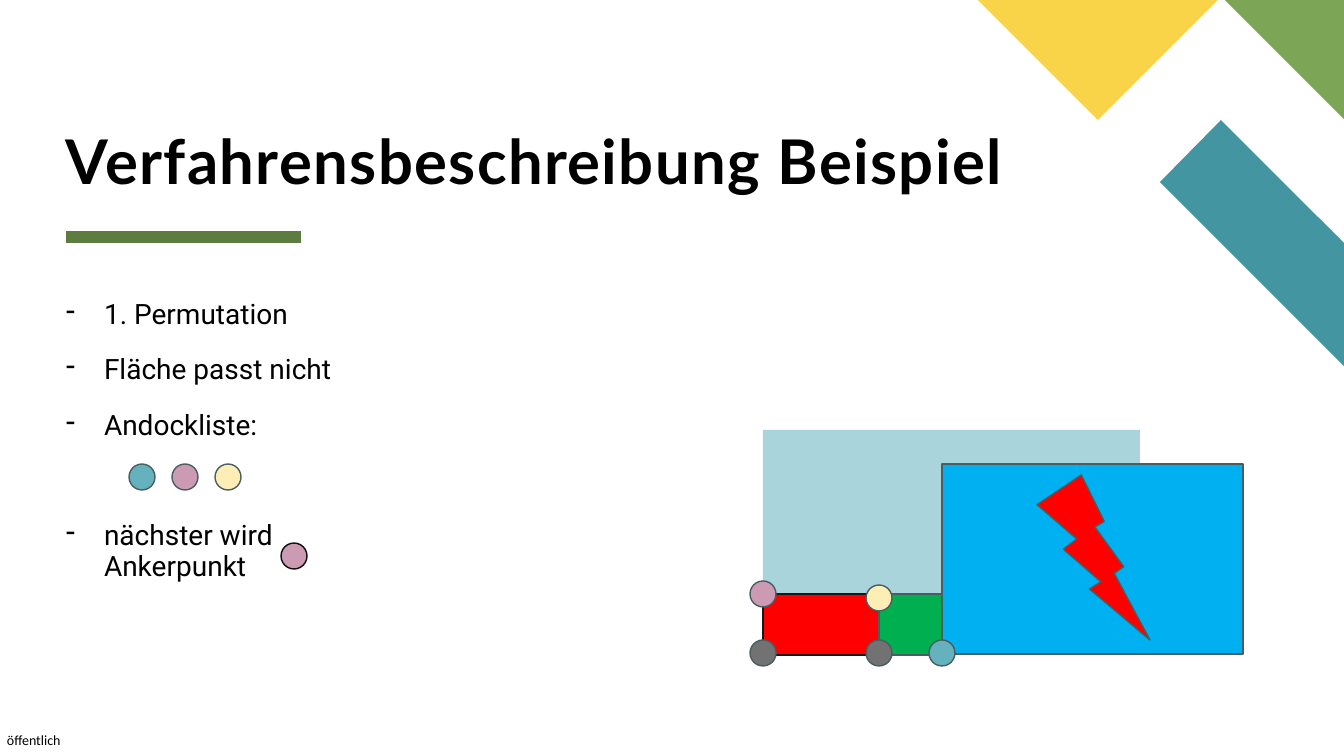
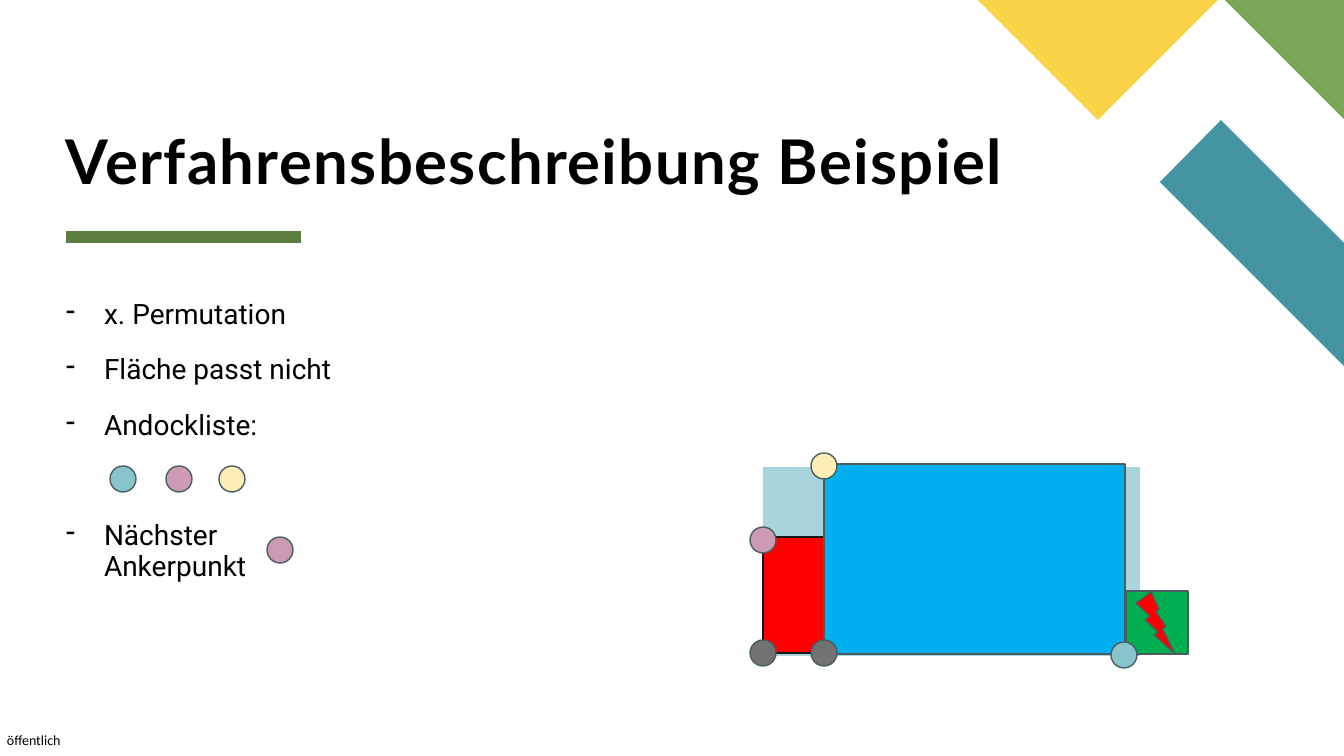
from lxml.etree import SubElement
from pptx import Presentation
from pptx.dml.color import RGBColor
from pptx.enum.shapes import MSO_CONNECTOR, MSO_SHAPE
from pptx.enum.text import MSO_ANCHOR
from pptx.oxml.ns import qn
from pptx.util import Pt

PX = 914400 / 100.8
WIDTH, HEIGHT = 1344, 756

BLACK = RGBColor(0x00, 0x00, 0x00)
NEAR_BLACK = RGBColor(0x0D, 0x0D, 0x0D)
CHARCOAL = RGBColor(0x17, 0x17, 0x17)
OUTLINE = RGBColor(0x4A, 0x5D, 0x60)
GRAY = RGBColor(0x72, 0x72, 0x72)
PINK = RGBColor(0xCC, 0x9B, 0xB3)
CREAM = RGBColor(0xFD, 0xEE, 0xB5)
TEAL = RGBColor(0x65, 0xB2, 0xBE)
LIGHT_TEAL = RGBColor(0x89, 0xC4, 0xCD)
PALE_TEAL = RGBColor(0xA9, 0xD4, 0xDB)
RED = RGBColor(0xFF, 0x00, 0x00)
GREEN = RGBColor(0x00, 0xB0, 0x50)
BLUE = RGBColor(0x00, 0xB0, 0xF0)
RULE_GREEN = RGBColor(0x5D, 0x7D, 0x40)

CORNER_SHAPES = [
    (RGBColor(0x44, 0x95, 0xA2), [(1344, 366), (1344, 243), (1221, 120), (1160, 182)]),
    (RGBColor(0x7C, 0xA6, 0x55), [(1344, 119), (1344, 0), (1225, 0)]),
    (RGBColor(0xF9, 0xD4, 0x48), [(978, 0), (1098, 120), (1218, 0)]),
]
TITLE = "Verfahrensbeschreibung Beispiel"
CIRCLE_SIZE = 26
BULLET_INDENT = 38
BULLET_SPACE = 18
CIRCLE_ROW_SPACE = 57.6


def emu(*lengths):
    return [round(length * PX) for length in lengths]


def write(paragraph, text, font="Roboto", size=20, bold=False, line_spacing=None,
          space_before=0, letter_spacing=None, bullet=None):
    run = paragraph.add_run()
    run.text = text
    run.font.name = font
    run.font.size = Pt(size)
    run.font.bold = bold
    run.font.color.rgb = BLACK
    if letter_spacing:
        run._r.get_or_add_rPr().set("spc", str(letter_spacing * 100))
    if line_spacing:
        paragraph.line_spacing = line_spacing
    paragraph.space_before = Pt(space_before)
    if bullet:
        properties = paragraph._p.get_or_add_pPr()
        indent, = emu(BULLET_INDENT)
        properties.set("marL", str(indent))
        properties.set("indent", str(-indent))
        SubElement(properties, qn("a:buChar")).set("char", bullet)


class Deck:
    def __init__(self):
        self.presentation = Presentation()
        self.presentation.slide_width, self.presentation.slide_height = emu(WIDTH, HEIGHT)
        self.slide = None

    def add_slide(self):
        """Start a slide with the shared decoration, title and footer."""
        self.slide = self.presentation.slides.add_slide(self.presentation.slide_layouts[6])
        for color, points in CORNER_SHAPES:
            self.polygon(points, color)
        self.rule(66, 237, 301)
        footer = self.text_frame(7, 732, 57, 17, wrap=False)
        write(footer.paragraphs[0], "öffentlich", font="Calibri", size=10)
        title = self.text_frame(66, 22, 1210, 174, anchor=MSO_ANCHOR.BOTTOM)
        write(title.paragraphs[0], TITLE, font="Lato", size=44, bold=True,
              line_spacing=0.8, letter_spacing=1)

    def style(self, shape, fill, line=None):
        shape.shadow.inherit = False
        shape.fill.solid()
        shape.fill.fore_color.rgb = fill
        if line is None:
            shape.line.fill.background()
        else:
            shape.line.color.rgb = line
            shape.line.width = Pt(1)

    def polygon(self, points, fill):
        builder = self.slide.shapes.build_freeform(*points[0], scale=PX)
        builder.add_line_segments(points[1:], close=True)
        self.style(builder.convert_to_shape(), fill)

    def rule(self, left, top, right):
        line = self.slide.shapes.add_connector(
            MSO_CONNECTOR.STRAIGHT, *emu(left, top, right, top))
        line.line.color.rgb = RULE_GREEN
        line.line.width = Pt(8)
        SubElement(line._element.spPr, qn("a:effectLst"))

    def text_frame(self, left, top, width, height, margins=(0, 0, 0, 0),
                   anchor=MSO_ANCHOR.TOP, wrap=True):
        box = self.slide.shapes.add_textbox(*emu(left, top, width, height))
        frame = box.text_frame
        frame.word_wrap = wrap
        frame.vertical_anchor = anchor
        (frame.margin_left, frame.margin_top,
         frame.margin_right, frame.margin_bottom) = emu(*margins)
        return frame

    def bullets(self, first, last):
        """Write the list, leaving a row for circles before the last item."""
        frame = self.text_frame(66, 295, 278, 396, margins=(0, 5, 10, 5))
        items = [(first, 0), ("Fläche passt nicht", BULLET_SPACE),
                 ("Andockliste:", BULLET_SPACE), (last, CIRCLE_ROW_SPACE)]
        for index, (text, space) in enumerate(items):
            paragraph = frame.add_paragraph() if index else frame.paragraphs[0]
            write(paragraph, text, line_spacing=0.9, space_before=space, bullet="-")

    def shape(self, left, top, width, height, fill, line=OUTLINE, kind=MSO_SHAPE.RECTANGLE):
        shape = self.slide.shapes.add_shape(kind, *emu(left, top, width, height))
        self.style(shape, fill, line)

    def bolt(self, left, top, width, height):
        self.shape(left, top, width, height, RED, kind=MSO_SHAPE.LIGHTNING_BOLT)

    def circle(self, center_x, center_y, fill, line=OUTLINE):
        radius = CIRCLE_SIZE / 2
        self.shape(center_x - radius, center_y - radius, CIRCLE_SIZE, CIRCLE_SIZE,
                   fill, line, MSO_SHAPE.OVAL)

    def circles(self, *circles):
        for circle in circles:
            self.circle(*circle)


def first_permutation(deck):
    deck.add_slide()
    deck.bullets("1. Permutation", "nächster wird Ankerpunkt")
    deck.shape(763, 430, 377, 225, PALE_TEAL, line=None)
    deck.shape(763, 594, 116, 61, RED, CHARCOAL)
    deck.shape(879, 594, 63, 61, GREEN)
    deck.shape(942, 464, 301, 190, BLUE)
    deck.bolt(1037, 475, 113, 165)
    deck.circles(
        (763, 653, GRAY), (763, 594, PINK), (879, 598, CREAM), (879, 653, GRAY),
        (942, 653, TEAL), (142, 477, TEAL), (185, 477, PINK), (228, 477, CREAM),
        (294, 556, PINK, NEAR_BLACK))


def later_permutation(deck):
    deck.add_slide()
    deck.bullets("x. Permutation", "Nächster Ankerpunkt")
    deck.shape(763, 467, 377, 189, PALE_TEAL, line=None)
    deck.shape(763, 537, 61, 116, RED, CHARCOAL)
    deck.shape(824, 464, 301, 190, BLUE)
    deck.shape(1126, 591, 62, 63, GREEN)
    deck.bolt(1136, 592, 39, 62)
    deck.circles(
        (763, 653, GRAY), (763, 540, PINK), (824, 653, GRAY), (824, 466, CREAM),
        (1124, 655, LIGHT_TEAL), (123, 479, LIGHT_TEAL), (179, 479, PINK),
        (232, 479, CREAM), (280, 550, PINK))


def main():
    deck = Deck()
    first_permutation(deck)
    later_permutation(deck)
    deck.presentation.save("out.pptx")


if __name__ == "__main__":
    main()
